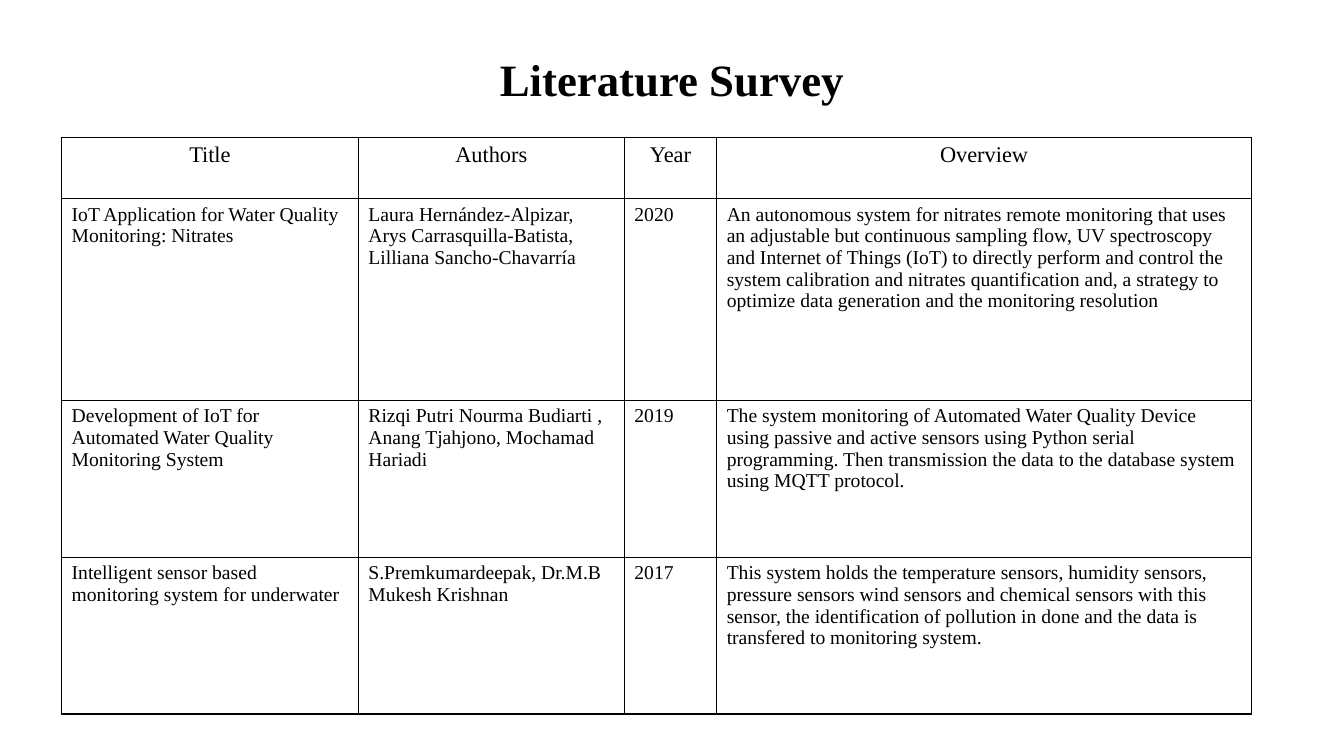
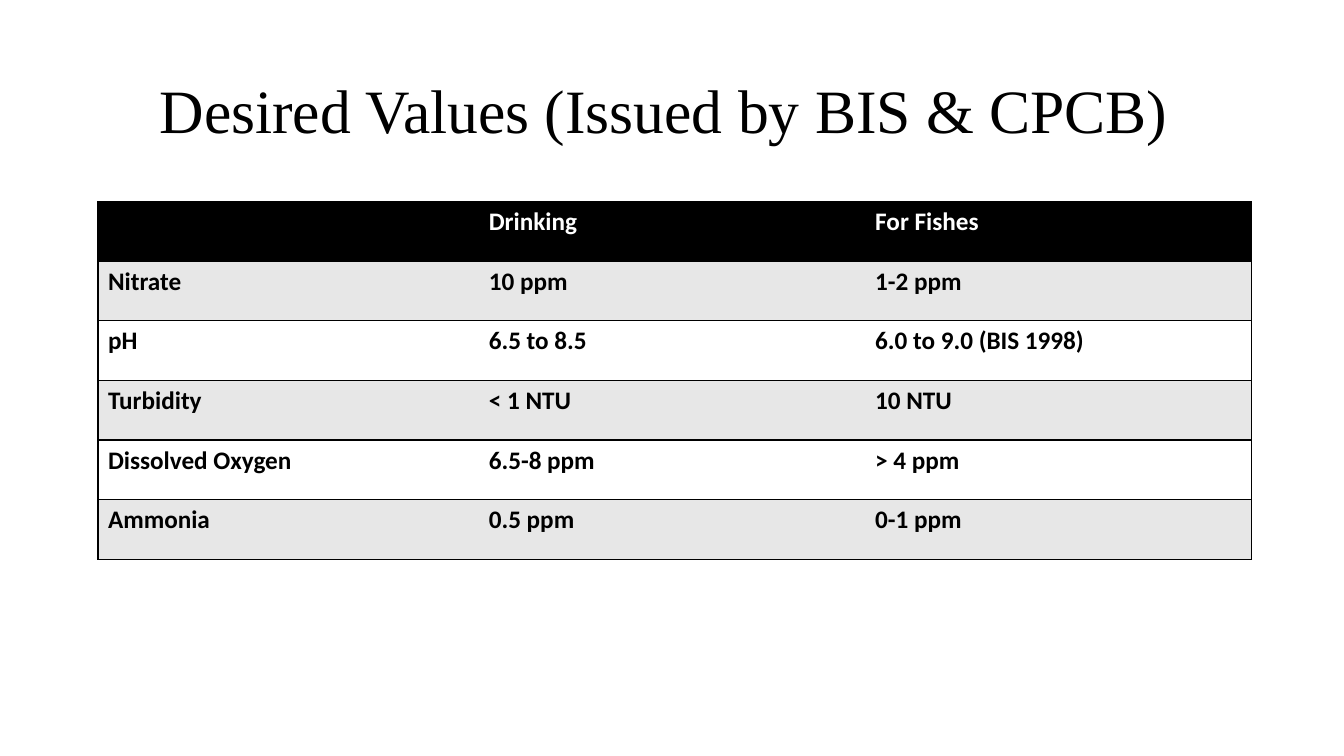
from lxml import etree
from pptx import Presentation
from pptx.dml.color import RGBColor
from pptx.enum.text import MSO_ANCHOR, PP_ALIGN
from pptx.oxml.ns import qn
from pptx.util import Pt

LEFT, CENTER = PP_ALIGN.LEFT, PP_ALIGN.CENTER
MIDDLE = MSO_ANCHOR.MIDDLE
BLACK = RGBColor(0x00, 0x00, 0x00)
WHITE = RGBColor(0xFF, 0xFF, 0xFF)
GREY = RGBColor(0xE7, 0xE7, 0xE7)
SERIF, SANS = "Times New Roman", "Calibri"
TITLE_ONLY = 5
SIDES = ("L", "R", "T", "B")

SURVEY = [
    ("Title", "Authors", "Year", "Overview"),
    ("IoT Application for Water Quality Monitoring: Nitrates",
     "Laura Hernández-Alpizar, Arys Carrasquilla-Batista, Lilliana Sancho-Chavarría",
     "2020",
     "An autonomous system for nitrates remote monitoring that uses an adjustable but "
     "continuous sampling flow, UV spectroscopy and Internet of Things (IoT) to directly "
     "perform and control the system calibration and nitrates quantification and, a "
     "strategy to optimize data generation and the monitoring resolution"),
    ("Development of IoT for Automated Water Quality Monitoring System",
     "Rizqi Putri Nourma Budiarti , Anang Tjahjono, Mochamad Hariadi",
     "2019",
     "The system monitoring of Automated Water Quality Device using passive and active "
     "sensors using Python serial programming. Then transmission the data to the database "
     "system using MQTT protocol."),
    ("Intelligent sensor based monitoring system for underwater",
     "S.Premkumardeepak, Dr.M.B Mukesh Krishnan",
     "2017",
     "This system holds the temperature sensors, humidity sensors, pressure sensors wind "
     "sensors and chemical sensors with this sensor, the identification of pollution in "
     "done and the data is transfered to monitoring system."),
]
DESIRED_VALUES = [
    ("", "Drinking", "For Fishes"),
    ("Nitrate", "10 ppm", "1-2 ppm"),
    ("pH", "6.5 to 8.5", "6.0 to 9.0 (BIS 1998)"),
    ("Turbidity", "< 1 NTU", "10 NTU"),
    ("Dissolved Oxygen", "6.5-8 ppm", "> 4 ppm"),
    ("Ammonia", "0.5 ppm", "0-1 ppm"),
]


def write_text(text_frame, text, font=SERIF, size=14, color=BLACK, bold=False,
               align=LEFT, spacing=1.0):
    paragraph = text_frame.paragraphs[0]
    paragraph.alignment = align
    paragraph.line_spacing = spacing
    if text:
        run = paragraph.add_run()
        run.text = text
        run.font.name = font
        run.font.size = Pt(size)
        run.font.bold = bold
        run.font.color.rgb = color


def set_borders(cell, visible_sides):
    properties = cell._tc.get_or_add_tcPr()
    for position, side in enumerate(SIDES):
        line = etree.Element(qn(f"a:ln{side}"), w=str(Pt(1)))
        if side in visible_sides:
            fill = etree.SubElement(line, qn("a:solidFill"))
            etree.SubElement(fill, qn("a:srgbClr"), val=str(BLACK))
        else:
            etree.SubElement(line, qn("a:noFill"))
        properties.insert(position, line)


def add_titled_slide(presentation, title, top, size, bold=False):
    slide = presentation.slides.add_slide(presentation.slide_layouts[TITLE_ONLY])
    shape = slide.shapes.title
    shape.left, shape.top, shape.width, shape.height = Pt(66), Pt(top), Pt(828), Pt(104.4)
    shape.text_frame.word_wrap = True
    shape.text_frame.vertical_anchor = MIDDLE
    write_text(shape.text_frame, title, size=size, bold=bold, align=CENTER, spacing=0.9)
    return slide


def add_grid(slide, rows, left, top, widths, heights, cell_style):
    table = slide.shapes.add_table(len(rows), len(widths), Pt(left), Pt(top),
                                   Pt(sum(widths)), Pt(sum(heights))).table
    table.first_row = False
    table.horz_banding = False
    for column, width in zip(table.columns, widths):
        column.width = Pt(width)
    for row, height in zip(table.rows, heights):
        row.height = Pt(height)
    for row_index, row in enumerate(rows):
        for column_index, text in enumerate(row):
            cell = table.cell(row_index, column_index)
            fill, borders, text_format = cell_style(row_index, column_index)
            cell.fill.solid()
            cell.fill.fore_color.rgb = fill
            set_borders(cell, borders)
            write_text(cell.text_frame, text, **text_format)


def survey_style(row, column):
    text_format = {"size": 16, "align": CENTER} if row == 0 else {}
    return WHITE, SIDES, text_format


def values_style(row, column):
    fill = BLACK if row == 0 else GREY if row % 2 else WHITE
    outer_side = {0: "L", 2: "R"}.get(column, "")
    color = WHITE if row == 0 else BLACK
    return fill, "TB" + outer_side, {"font": SANS, "size": 18, "bold": True, "color": color}


def main():
    presentation = Presentation()
    presentation.slide_width, presentation.slide_height = Pt(960), Pt(540)

    slide = add_titled_slide(presentation, "Literature Survey", top=6.5, size=32, bold=True)
    add_grid(slide, SURVEY, 44, 98, [212, 190, 66, 382], [44, 144, 112, 112], survey_style)

    slide = add_titled_slide(presentation, "Desired Values (Issued by BIS & CPCB) ",
                             top=28.8, size=44)
    add_grid(slide, DESIRED_VALUES, 70, 144, [272, 276, 276],
             [42.6] * len(DESIRED_VALUES), values_style)

    presentation.save("out.pptx")


if __name__ == "__main__":
    main()
